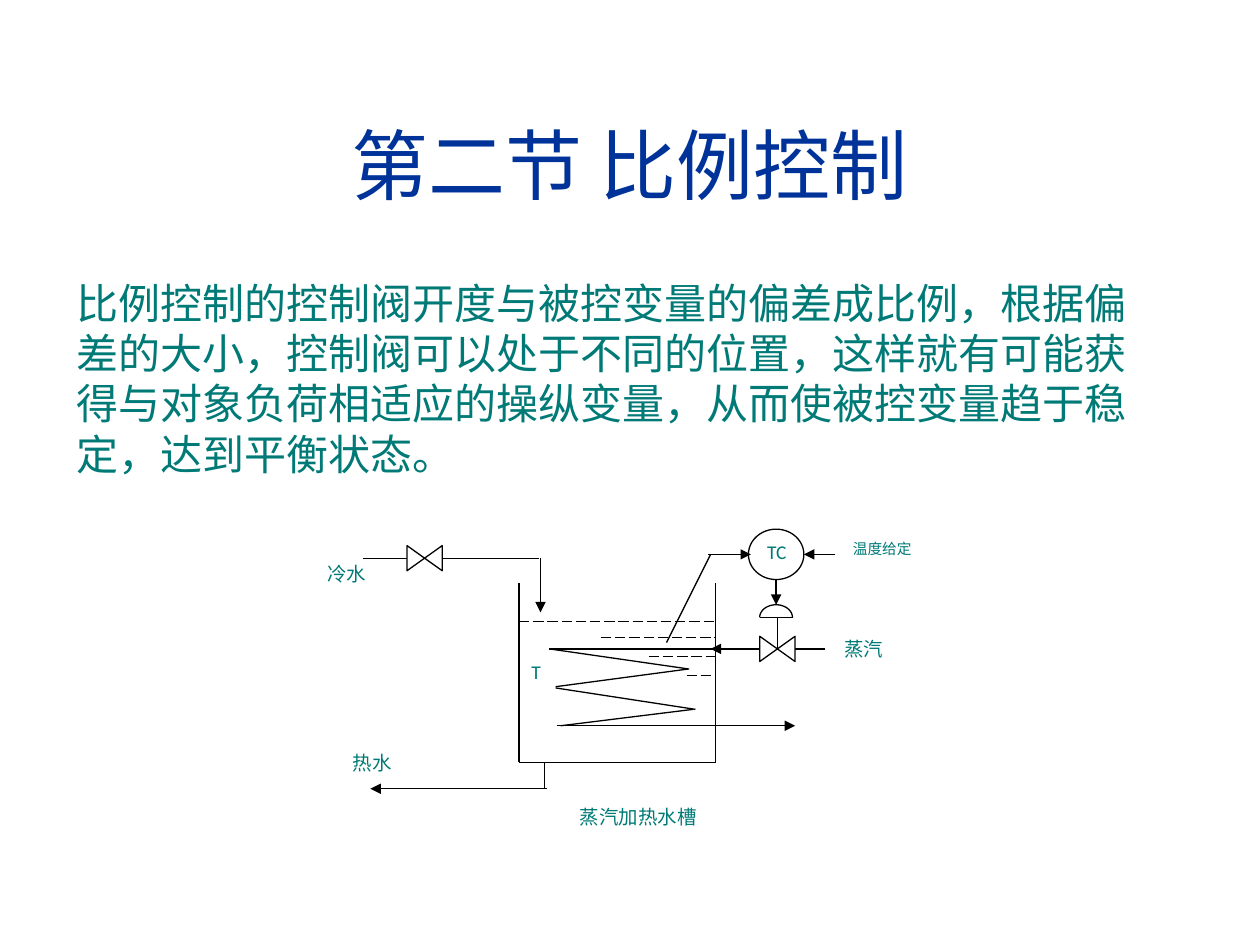
from math import cos, pi, sin

from lxml.etree import SubElement
from pptx import Presentation
from pptx.dml.color import RGBColor
from pptx.enum.dml import MSO_LINE
from pptx.enum.shapes import MSO_CONNECTOR, MSO_SHAPE
from pptx.enum.text import MSO_ANCHOR, PP_ALIGN
from pptx.oxml.ns import qn
from pptx.util import Pt

PX = 9144  # EMU per px, 100 px to the inch
BLACK, WHITE, TEAL, NAVY = "000000", "FFFFFF", "007A77", "003399"
CHINESE_FONT = "Noto Sans CJK SC"


def color(hex_string):
    return RGBColor.from_string(hex_string)


def add_text(slide, box, text, size, font, hex_color=TEAL,
             align=PP_ALIGN.LEFT, anchor=MSO_ANCHOR.TOP, spacing=1.0):
    shape = slide.shapes.add_textbox(*(value * PX for value in box))
    frame = shape.text_frame
    frame.word_wrap = True
    frame.vertical_anchor = anchor
    frame.text = text
    paragraph = frame.paragraphs[0]
    paragraph.alignment = align
    paragraph.line_spacing = spacing
    run_font = paragraph.runs[0].font
    run_font.size = Pt(size)
    run_font.name = font
    run_font.color.rgb = color(hex_color)
    SubElement(run_font._element, qn("a:ea"), typeface=CHINESE_FONT)


def add_label(slide, box, text, size=11.1, align=PP_ALIGN.JUSTIFY, spacing=0.9):
    add_text(slide, box, text, size, "Calibri", align=align, spacing=spacing)


def add_line(slide, left, top, start, end, arrow=False, dashed=False):
    """Draw a line between two points given relative to left, top."""
    connector = slide.shapes.add_connector(
        MSO_CONNECTOR.STRAIGHT,
        (left + start[0]) * PX, (top + start[1]) * PX,
        (left + end[0]) * PX, (top + end[1]) * PX)
    connector.line.color.rgb = color(BLACK)
    connector.line.width = Pt(0.75)
    if dashed:
        connector.line.dash_style = MSO_LINE.LONG_DASH
    if arrow:
        SubElement(connector.line._get_or_add_ln(), qn("a:tailEnd"), type="triangle")
    SubElement(connector._element.spPr, qn("a:effectLst"))


def style_outline(shape):
    shape.shadow.inherit = False
    shape.line.color.rgb = color(BLACK)
    shape.line.width = Pt(0.75)


def add_preset(slide, kind, box, rotation=0):
    shape = slide.shapes.add_shape(kind, *(value * PX for value in box))
    shape.rotation = rotation
    shape.fill.solid()
    shape.fill.fore_color.rgb = color(WHITE)
    style_outline(shape)


def add_valve(slide, left, top):
    add_preset(slide, MSO_SHAPE.FLOWCHART_COLLATE, (left, top, 20, 28), 270)


def add_dome(slide, left, top, width, height):
    """Draw the upper half of an ellipse, as on a valve actuator."""
    steps = 24
    points = [(round((left + width / 2 * (1 - cos(pi * step / steps))) * PX),
               round((top + height * (1 - sin(pi * step / steps))) * PX))
              for step in range(steps + 1)]
    builder = slide.shapes.build_freeform(*points[0])
    builder.add_line_segments(points[1:], close=False)
    dome = builder.convert_to_shape()
    dome.fill.background()
    style_outline(dome)


def draw_tank(slide, left, top, width, height):
    for x in (0, width):
        add_line(slide, left, top, (x, 0), (x, height))
    add_line(slide, left, top, (0, height), (width, height))
    for start, level in ((0, 30), (65, 43), (103, 58), (133, 73)):
        add_line(slide, left, top, (start, level), (width, level), dashed=True)
    add_label(slide, (left, top + 58, 36, 30), "T")


def draw_cold_water(slide, left, top):
    add_line(slide, left, top, (38, 14), (178, 14))
    add_valve(slide, left + 77, top)
    add_line(slide, left, top, (179, 14), (179, 57), arrow=True)
    add_label(slide, (left, top + 14, 55, 30), "冷水")


def draw_hot_water(slide, left, top):
    add_line(slide, left, top, (162, 12), (162, 33))
    add_line(slide, left, top, (164, 33), (24, 33), arrow=True)
    add_label(slide, (left, top, 55, 30), "热水")


def draw_coil(slide, left, top):
    add_line(slide, left, top, (132, 0), (0, 0))
    turns = (((0, 0), (111, 16)), ((110, 16), (5, 30)),
             ((5, 31), (116, 48)), ((114, 48), (9, 61)))
    for start, end in turns:
        add_line(slide, left, top, start, end)
    add_line(slide, left, top, (6, 61), (195, 61), arrow=True)


def draw_steam_supply(slide, left, top):
    add_line(slide, left, top, (91, 35), (0, 35), arrow=True)
    add_valve(slide, left + 43, top + 21)
    add_line(slide, left, top, (53, 35), (53, 10))
    add_line(slide, left, top, (39, 10), (65, 10))
    add_dome(slide, left + 39, top, 26, 10)
    add_label(slide, (left + 96, top + 23, 55, 30), "蒸汽")


def draw_controller(slide, left, top):
    add_line(slide, left, top, (0, 90), (35, 20))
    add_preset(slide, MSO_SHAPE.OVAL, (left + 65, top, 44, 40))
    add_label(slide, (left + 70, top + 6, 39, 30), "TC")
    for start, end in (((33, 20), (67, 20)), ((87, 40), (87, 60)),
                       ((134, 20), (109, 20))):
        add_line(slide, left, top, start, end, arrow=True)
    add_label(slide, (left + 138, top + 6, 99, 25), "温度给定", 8.4, spacing=0.8)


def draw_diagram(slide, left, top):
    draw_tank(slide, left + 162, top + 43, 156, 142)
    draw_cold_water(slide, left, top + 9)
    draw_hot_water(slide, left + 20, top + 173)
    draw_coil(slide, left + 186, top + 95)
    draw_steam_supply(slide, left + 314, top + 60)
    draw_controller(slide, left + 279, top)
    add_label(slide, (left + 152, top + 216, 209, 30), "蒸汽加热水槽",
              align=PP_ALIGN.CENTER)


def main():
    presentation = Presentation()
    presentation.slide_width = 1000 * PX
    presentation.slide_height = 750 * PX
    slide = presentation.slides.add_slide(presentation.slide_layouts[6])
    add_text(slide, (33, 67, 934, 125), "第二节 比例控制", 44, "Arial", NAVY,
             PP_ALIGN.CENTER, MSO_ANCHOR.MIDDLE)
    add_text(slide, (51, 215, 874, 170),
             "比例控制的控制阀开度与被控变量的偏差成比例，根据偏差的大小，"
             "控制阀可以处于不同的位置，这样就有可能获得与对象负荷相适应的操纵变量，"
             "从而使被控变量趋于稳定，达到平衡状态。",
             24, CHINESE_FONT, anchor=MSO_ANCHOR.MIDDLE)
    draw_diagram(slide, 250, 420)
    presentation.save("out.pptx")


if __name__ == "__main__":
    main()
